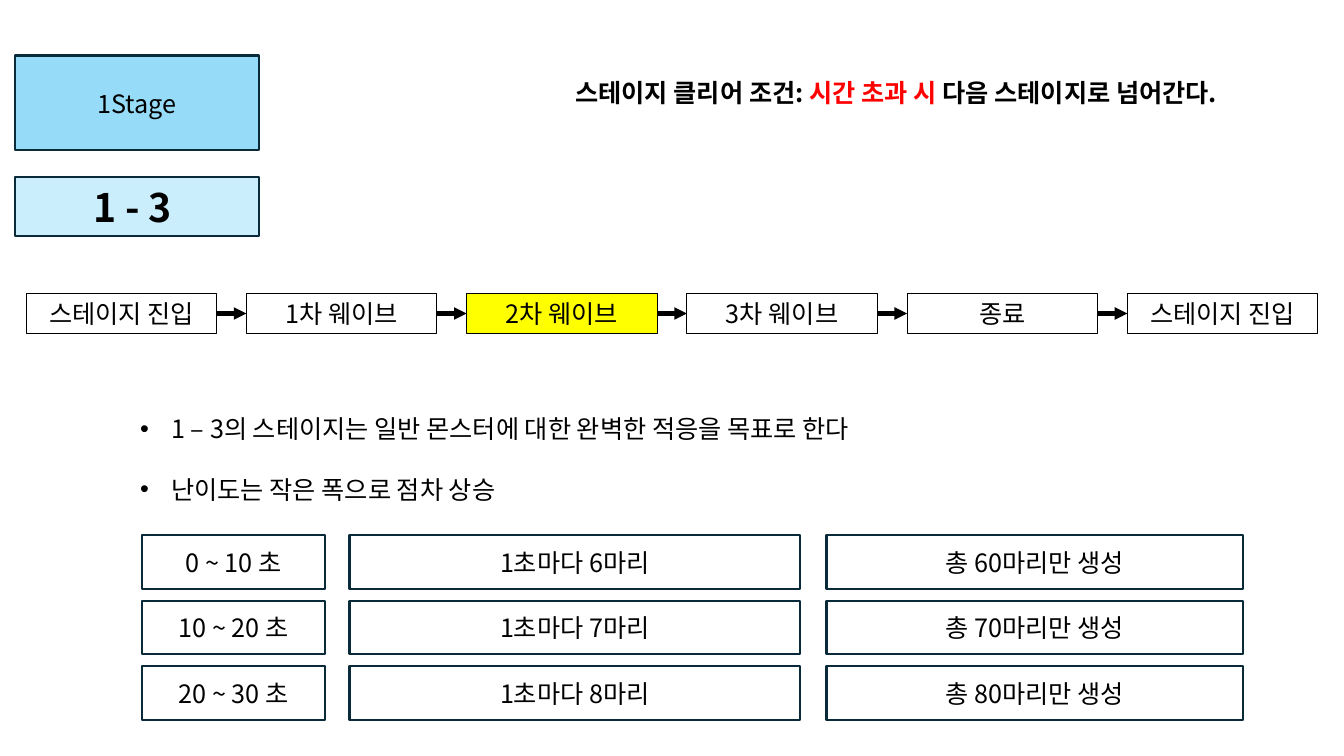
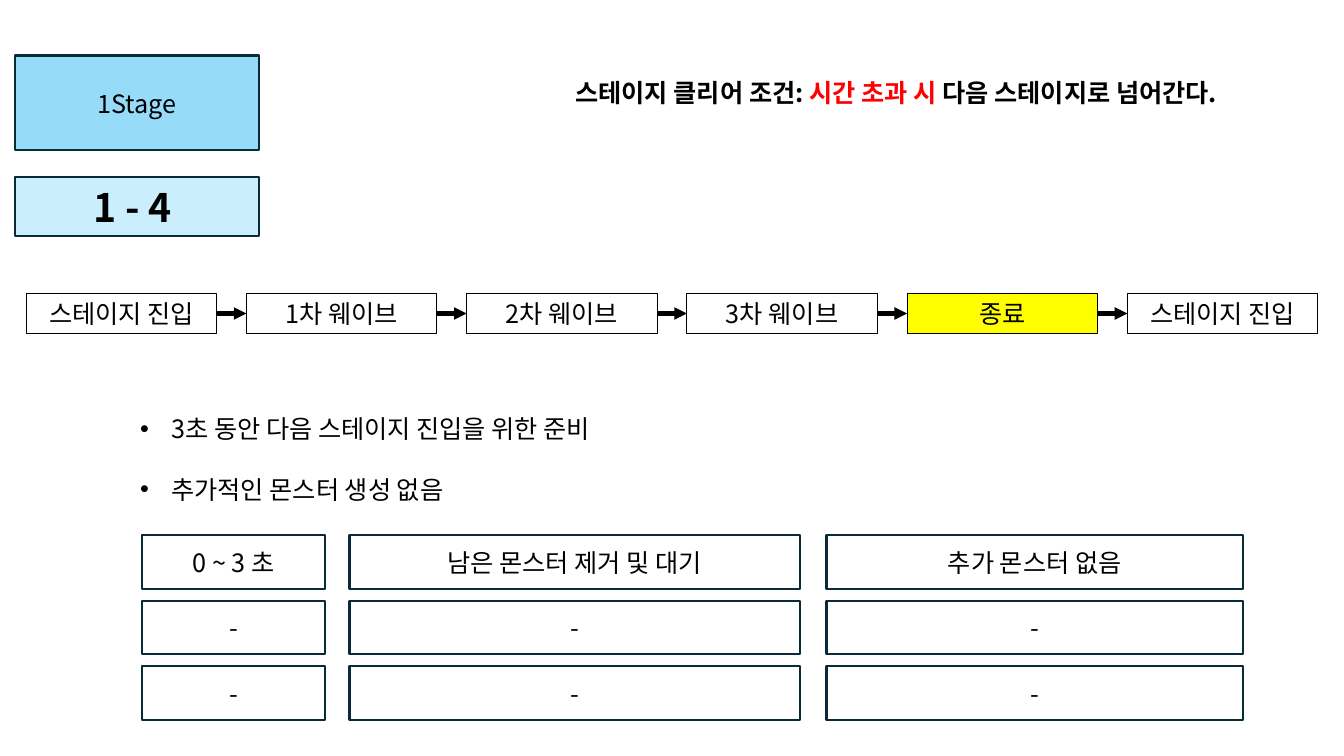
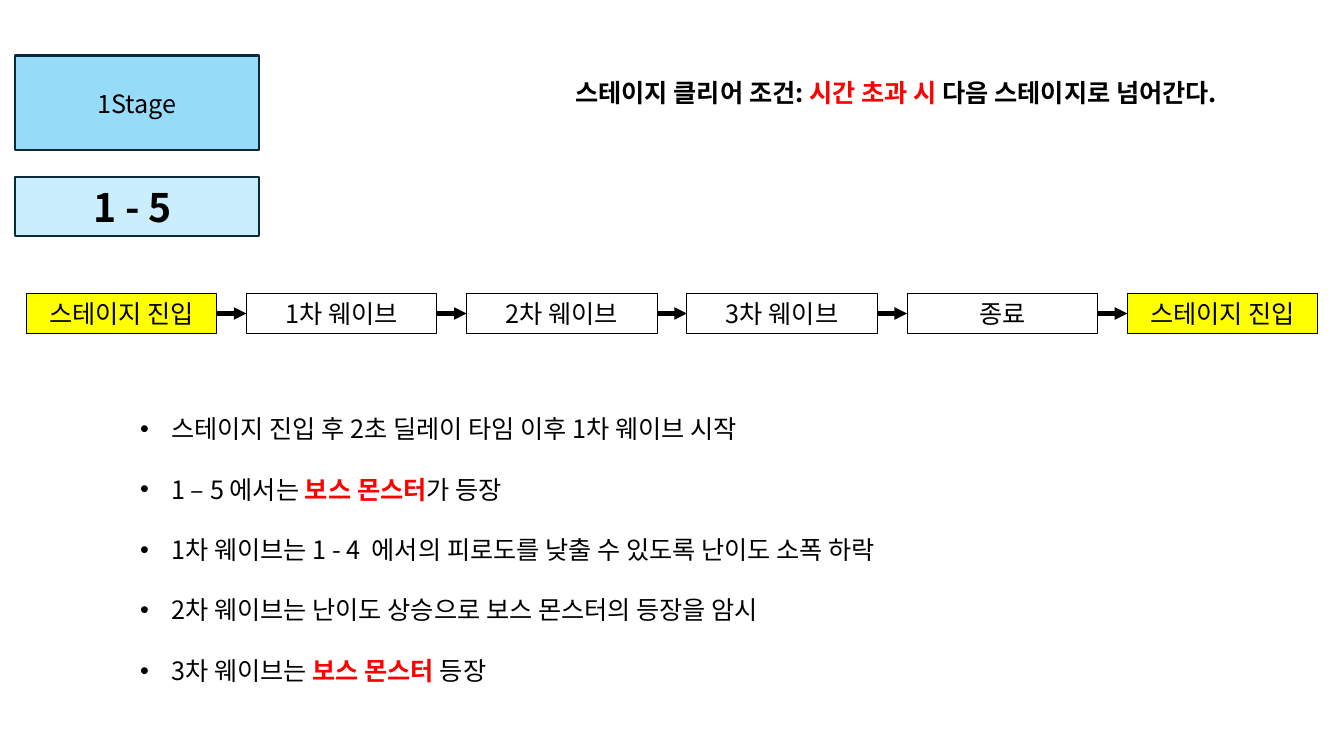
from lxml import etree
from pptx import Presentation
from pptx.dml.color import RGBColor
from pptx.enum import shapes, text
from pptx.oxml import ns
from pptx.util import Cm, Pt

FONT = "Noto Sans CJK KR"
BLACK = RGBColor(0x00, 0x00, 0x00)
RED = RGBColor(0xFF, 0x00, 0x00)
YELLOW = RGBColor(0xFF, 0xFF, 0x00)
NAVY = RGBColor(0x09, 0x2A, 0x39)
SKY = RGBColor(0x96, 0xDC, 0xF8)
PALE_SKY = RGBColor(0xCA, 0xEE, 0xFB)

CONDITION = "스테이지 클리어 조건: *시간 초과 시 *다음 스테이지로 넘어간다."
FLOW_STEPS = ["스테이지 진입", "1차 웨이브", "2차 웨이브", "3차 웨이브", "종료", "스테이지 진입"]
FLOW_LEFT, FLOW_TOP, FLOW_PITCH = 0.66, 7.39, 5.55
STEP_WIDTH, STEP_HEIGHT = 4.8, 1.02
SPAWN_COLUMNS = [(3.58, 4.62), (8.81, 11.35), (20.83, 10.49)]
SPAWN_TOP, SPAWN_PITCH, SPAWN_HEIGHT = 13.49, 1.65, 1.35

STAGES = [
    {
        "number": "1 - 3 ",
        "active": {2},
        "goals": [
            "1 – 3의 스테이지는 일반 몬스터에 대한 완벽한 적응을 목표로 한다",
            "난이도는 작은 폭으로 점차 상승",
        ],
        "spawns": [
            ("0 ~ 10 초", "1초마다 6마리", "총 60마리만 생성"),
            ("10 ~ 20 초", "1초마다 7마리", "총 70마리만 생성"),
            ("20 ~ 30 초", "1초마다 8마리", "총 80마리만 생성"),
        ],
    },
    {
        "number": "1 - 4 ",
        "active": {4},
        "goals": [
            "3초 동안 다음 스테이지 진입을 위한 준비",
            "추가적인 몬스터 생성 없음",
        ],
        "spawns": [
            ("0 ~ 3 초", "남은 몬스터 제거 및 대기", "추가 몬스터 없음"),
            ("-", "-", "-"),
            ("-", "-", "-"),
        ],
    },
    {
        "number": "1 - 5 ",
        "active": {0, 5},
        "goals": [
            "스테이지 진입 후 2초 딜레이 타임 이후 1차 웨이브 시작",
            "1 – 5 에서는 *보스 몬스터*가 등장",
            "1차 웨이브는 1 - 4  에서의 피로도를 낮출 수 있도록 난이도 소폭 하락",
            "2차 웨이브는 난이도 상승으로 보스 몬스터의 등장을 암시",
            "3차 웨이브는 *보스 몬스터 *등장",
        ],
        "spawns": [],
    },
]


def add_child(parent, tag, **attributes):
    return etree.SubElement(parent, ns.qn(tag), **attributes)


def add_bullet(paragraph):
    properties = paragraph._p.get_or_add_pPr()
    properties.set("marL", str(Cm(0.79)))
    properties.set("indent", str(-Cm(0.79)))
    add_child(properties, "a:buFont", typeface="Arial")
    add_child(properties, "a:buChar", char="•")


def write(frame, lines, size=18, bold=False, align=text.PP_ALIGN.LEFT,
          anchor=text.MSO_ANCHOR.TOP, spacing=None, bullet=False, grow=False):
    """Text between asterisks is set in bold red."""
    frame.word_wrap = True
    frame.vertical_anchor = anchor
    if grow:
        frame.auto_size = text.MSO_AUTO_SIZE.SHAPE_TO_FIT_TEXT
    for index, line in enumerate(lines):
        paragraph = frame.add_paragraph() if index else frame.paragraphs[0]
        paragraph.alignment = align
        if spacing:
            paragraph.line_spacing = spacing
        if bullet:
            add_bullet(paragraph)
        for position, words in enumerate(line.split("*")):
            stressed = position % 2 == 1
            run = paragraph.add_run()
            run.text = words
            run.font.name = FONT
            run.font.size = Pt(size)
            run.font.bold = bold or stressed
            run.font.color.rgb = RED if stressed else BLACK
            add_child(run._r.get_or_add_rPr(), "a:ea", typeface=FONT)


def add_box(slide, left, top, width, height, label, fill=None, line=NAVY,
            line_width=1.5, anchor=text.MSO_ANCHOR.MIDDLE, **style):
    box = slide.shapes.add_shape(
        shapes.MSO_SHAPE.RECTANGLE, Cm(left), Cm(top), Cm(width), Cm(height))
    box.shadow.inherit = False
    if fill is None:
        box.fill.background()
    else:
        box.fill.solid()
        box.fill.fore_color.rgb = fill
    box.line.color.rgb = line
    box.line.width = Pt(line_width)
    write(box.text_frame, [label], align=text.PP_ALIGN.CENTER, anchor=anchor, **style)


def add_note(slide, left, top, width, height, lines, **style):
    note = slide.shapes.add_textbox(Cm(left), Cm(top), Cm(width), Cm(height))
    write(note.text_frame, lines, grow=True, **style)


def add_arrow(slide, start, end, y):
    arrow = slide.shapes.add_connector(
        shapes.MSO_CONNECTOR.STRAIGHT, Cm(start), Cm(y), Cm(end), Cm(y))
    arrow.line.color.rgb = BLACK
    arrow.line.width = Pt(3)
    add_child(arrow.line._get_or_add_ln(), "a:tailEnd", type="triangle")
    add_child(arrow._element.spPr, "a:effectLst")


def add_flow(slide, active):
    for index, step in enumerate(FLOW_STEPS):
        left = FLOW_LEFT + index * FLOW_PITCH
        if index:
            add_arrow(slide, left - FLOW_PITCH + STEP_WIDTH, left,
                      FLOW_TOP + STEP_HEIGHT / 2)
        add_box(slide, left, FLOW_TOP, STEP_WIDTH, STEP_HEIGHT, step,
                fill=YELLOW if index in active else None, line=BLACK,
                line_width=0.75, anchor=text.MSO_ANCHOR.TOP, grow=True)


def add_spawns(slide, spawns):
    for row, labels in enumerate(spawns):
        for (left, width), label in zip(SPAWN_COLUMNS, labels):
            add_box(slide, left, SPAWN_TOP + row * SPAWN_PITCH, width,
                    SPAWN_HEIGHT, label)


def add_stage(deck, stage):
    slide = deck.slides.add_slide(deck.slide_layouts[6])
    add_box(slide, 0.38, 1.4, 6.15, 2.39, "1Stage", fill=SKY)
    add_box(slide, 0.38, 4.47, 6.15, 1.47, stage["number"], fill=PALE_SKY,
            size=28, bold=True)
    add_note(slide, 14.25, 1.83, 18.77, 1.02, [CONDITION], bold=True)
    add_flow(slide, stage["active"])
    goals = stage["goals"]
    add_note(slide, 3.28, 9.53, 27.74, 1.54 * len(goals), goals,
             spacing=2.0, bullet=True)
    add_spawns(slide, stage["spawns"])


def main():
    deck = Presentation()
    deck.slide_width = Cm(33.87)
    deck.slide_height = Cm(19.05)
    for stage in STAGES:
        add_stage(deck, stage)
    deck.save("out.pptx")


if __name__ == "__main__":
    main()
